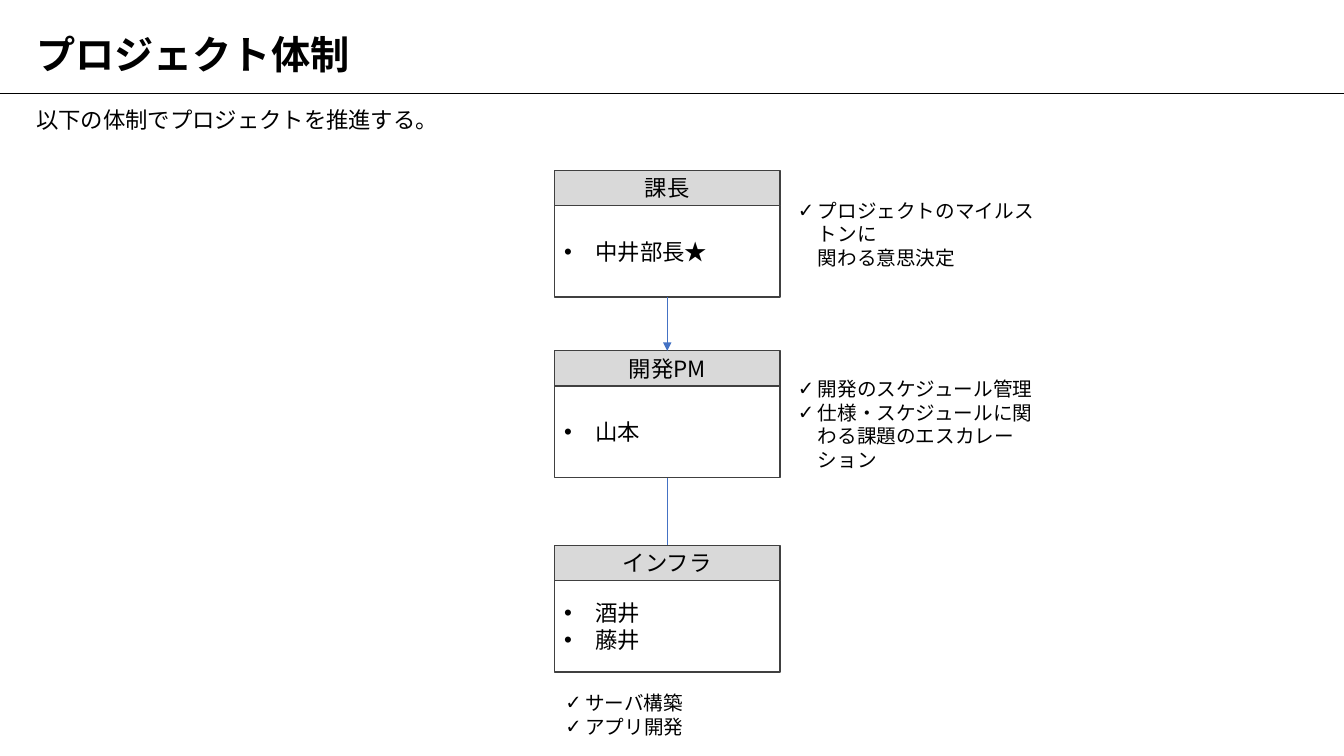
from lxml.etree import SubElement
from pptx import Presentation
from pptx.dml.color import RGBColor
from pptx.enum.lang import MSO_LANGUAGE_ID
from pptx.enum.shapes import MSO_CONNECTOR, MSO_SHAPE
from pptx.enum.text import MSO_ANCHOR, MSO_AUTO_SIZE, PP_ALIGN
from pptx.oxml.ns import qn
from pptx.util import Cm, Pt

FONT = "Noto Sans CJK JP"
CARD_LEFT, CARD_WIDTH = 13.97, 5.69
HEADER_HEIGHT, MEMBERS_HEIGHT = 0.89, 2.31

# Role, members, top of card, duties, offset and size of the duties box
ROLES = [
    ("課長", ["中井部長★"], 4.29,
     ["プロジェクトのマイルストンに\n関わる意思決定"], (5.89, 0.87, 6.76, 1.47)),
    ("開発PM", ["山本"], 8.84,
     ["開発のスケジュール管理", "仕様・スケジュールに関わる課題のエスカレーション"],
     (5.89, 1.12, 6.76, 1.47)),
    ("インフラ", ["酒井", "藤井"], 13.74,
     ["サーバ構築", "アプリ開発"], (0.03, 3.35, 5.69, 1.83)),
]


def color(value):
    return RGBColor.from_string(value)


def set_bullet(para, bullet, indent):
    properties = para._p.get_or_add_pPr()
    properties.set("marL", str(Cm(indent)))
    properties.set("indent", str(-Cm(indent)))
    if bullet:
        SubElement(properties, qn("a:buFont"), typeface="Arial")
        SubElement(properties, qn("a:buChar"), char=bullet)
    else:
        SubElement(properties, qn("a:buNone"))


def write(shape, lines, size=16, bold=False, align=PP_ALIGN.LEFT,
          anchor=MSO_ANCHOR.MIDDLE, bullet=None, indent=0, line_spacing=1.0):
    frame = shape.text_frame
    frame.word_wrap = True
    frame.auto_size = MSO_AUTO_SIZE.NONE
    frame.vertical_anchor = anchor
    for number, line in enumerate(lines):
        para = frame.add_paragraph() if number else frame.paragraphs[0]
        para.text = line
        set_bullet(para, bullet, indent)
        para.alignment = align
        para.line_spacing = line_spacing
        para.space_before = Pt(0)
        for span in para.runs:
            span.font.size = Pt(size)
            span.font.bold = bold
            span.font.name = FONT
            span.font.color.rgb = color("000000")
            span.font.language_id = MSO_LANGUAGE_ID.JAPANESE
            SubElement(span._r.get_or_add_rPr(), qn("a:ea"), typeface=FONT)
        for line_break in para._p.findall(qn("a:br")):
            SubElement(line_break, qn("a:rPr"), sz=str(size * 100))


def place(shape, left, top, width, height):
    shape.left, shape.top = Cm(left), Cm(top)
    shape.width, shape.height = Cm(width), Cm(height)


def add_line(page, ends, line_color, arrow=False):
    line = page.shapes.add_connector(MSO_CONNECTOR.STRAIGHT, *map(Cm, ends))
    line.line.color.rgb = color(line_color)
    line.line.width = Pt(0.5)
    if arrow:
        SubElement(line.line._get_or_add_ln(), qn("a:tailEnd"), type="triangle")
    SubElement(line._element.spPr, qn("a:effectLst"))
    return line


def add_panel(page, box, fill):
    panel = page.shapes.add_shape(MSO_SHAPE.RECTANGLE, *map(Cm, box))
    panel.shadow.inherit = False
    panel.fill.solid()
    panel.fill.fore_color.rgb = color(fill)
    panel.line.color.rgb = color("404040")
    panel.line.width = Pt(1)
    return panel


def add_heading(page, left, width):
    add_line(page, (0, 2.34, 33.87, 2.34), "000000")
    title, lead = page.shapes.title, page.placeholders[1]
    place(title, left, 0.53, width, 1.78)
    write(title, ["プロジェクト体制"], size=28, bold=True, line_spacing=0.9)
    place(lead, left, 2.62, width, 0.97)
    write(lead, ["以下の体制でプロジェクトを推進する。"], anchor=MSO_ANCHOR.TOP,
          line_spacing=0.9)


def add_role_card(page, left, top, role, members):
    """Draw a role header above its member list and return both panels."""
    header = add_panel(page, (left, top, CARD_WIDTH, HEADER_HEIGHT), "D9D9D9")
    write(header, [role], align=PP_ALIGN.CENTER)
    body = add_panel(
        page, (left, top + HEADER_HEIGHT, CARD_WIDTH, MEMBERS_HEIGHT), "FFFFFF")
    write(body, members, bullet="•", indent=0.79)
    return header, body


def add_duties(page, left, top, width, height, duties):
    box = page.shapes.add_textbox(Cm(left), Cm(top), Cm(width), Cm(height))
    write(box, duties, size=14, bullet="✓", indent=0.5)


def add_organization(page, left):
    cards = []
    for role, members, top, duties, (across, down, width, height) in ROLES:
        cards.append(add_role_card(page, left, top, role, members))
        add_duties(page, left + across, top + down, width, height, duties)
    for number, (upper, lower) in enumerate(zip(cards, cards[1:])):
        link = add_line(page, (0, 0, 0, 0), "4472C4", arrow=number == 0)
        link.begin_connect(upper[1], 2)
        link.end_connect(lower[0], 0)


def main():
    deck = Presentation()
    deck.slide_width, deck.slide_height = Cm(33.87), Cm(19.05)
    page = deck.slides.add_slide(deck.slide_layouts[1])
    add_heading(page, left=0.66, width=32.23)
    add_organization(page, CARD_LEFT)
    deck.save("out.pptx")


if __name__ == "__main__":
    main()
